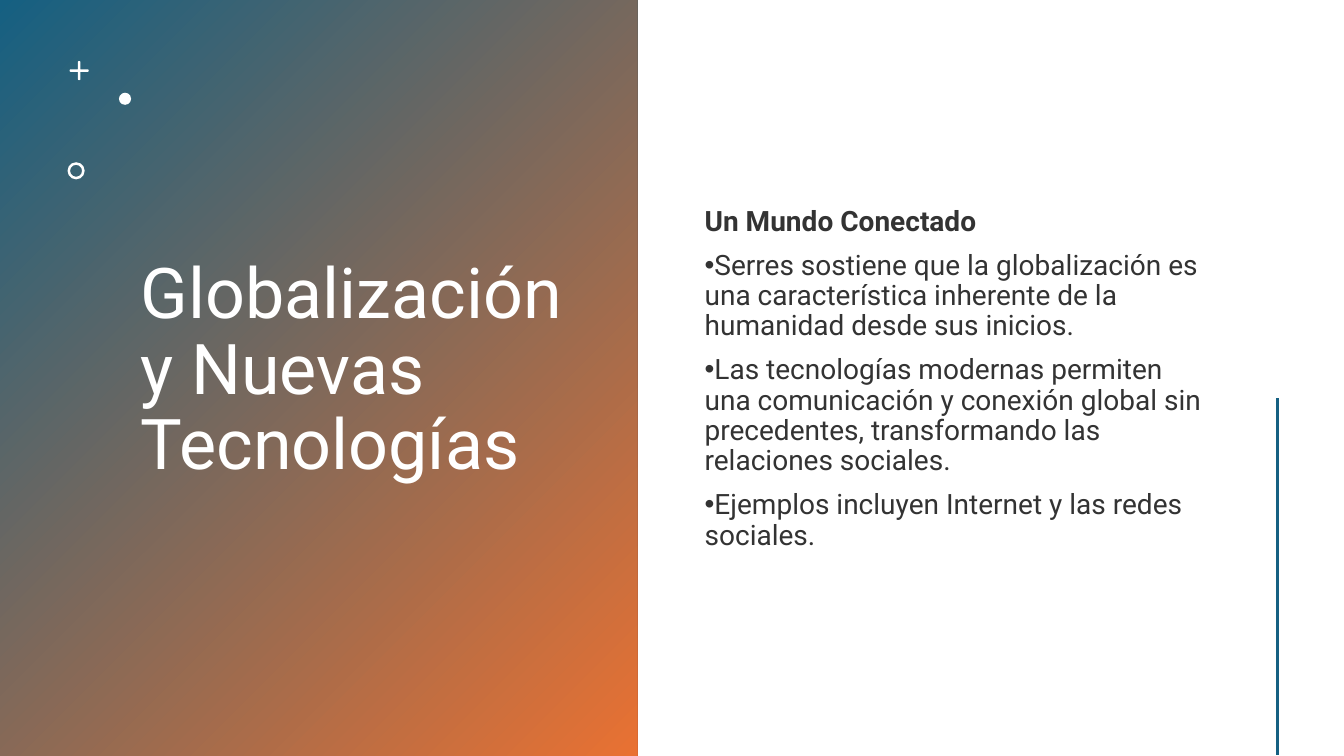
"""Build a slide on globalisation and new technologies."""
import math

from lxml import etree
from pptx import Presentation
from pptx.dml.color import RGBColor
from pptx.enum import shapes, text
from pptx.oxml import ns
from pptx.util import Inches, Pt

FONT = "Roboto"
COLORS = {"blue": "156082", "orange": "E97132", "white": "FFFFFF", "ink": "333333"}
POINTS = [
    "Serres sostiene que la globalización es una característica inherente de la "
    "humanidad desde sus inicios.",
    "Las tecnologías modernas permiten una comunicación y conexión global sin "
    "precedentes, transformando las relaciones sociales.",
    "Ejemplos incluyen Internet y las redes sociales.",
]


def rgb(name):
    return RGBColor.from_string(COLORS[name])


def paint(sp, color):
    sp.shadow.inherit = False
    sp.line.fill.background()
    sp.fill.solid()
    sp.fill.fore_color.rgb = rgb(color)


def add_shape(s, kind, x, y, w, h, color):
    sp = s.shapes.add_shape(kind, Inches(x), Inches(y), Inches(w), Inches(h))
    paint(sp, color)
    return sp


def add_gradient_panel(s, x, y, w, h, start, end):
    sp = add_shape(s, shapes.MSO_SHAPE.RECTANGLE, x, y, w, h, start)
    sp.fill.gradient()
    sp.fill.gradient_angle = 315
    for stop, color, position in zip(sp.fill.gradient_stops, (start, end), (0, 1)):
        stop.color.rgb = rgb(color)
        stop.position = position


def add_plus(s, cx, cy, reach, half, color):
    outline = []
    for arm in range(4):
        turn = arm * math.pi / 2
        tip = [(reach - half + half * math.cos(math.radians(a)),
                half * math.sin(math.radians(a))) for a in range(-90, 91, 15)]
        for u, v in tip + [(half, half)]:
            outline.append((Inches(cx + u * math.cos(turn) - v * math.sin(turn)),
                            Inches(cy + u * math.sin(turn) + v * math.cos(turn))))
    builder = s.shapes.build_freeform(*outline[0])
    builder.add_line_segments(outline[1:], close=True)
    paint(builder.convert_to_shape(), color)


def add_text_box(s, x, y, w, h):
    tf = s.shapes.add_textbox(Inches(x), Inches(y), Inches(w), Inches(h)).text_frame
    tf.word_wrap = True
    tf.vertical_anchor = text.MSO_ANCHOR.MIDDLE
    return tf


def write(p, content, size=20, color="ink", bold=False, before=0, bullet=False):
    if bullet:
        pPr = p._p.get_or_add_pPr()
        pPr.set("marL", "0")
        pPr.set("indent", str(-Inches(0.25)))
        etree.SubElement(pPr, ns.qn("a:buFont")).set("typeface", "Arial")
        etree.SubElement(pPr, ns.qn("a:buChar")).set("char", "•")
    p.line_spacing = 0.9
    p.space_before = Pt(before)
    r = p.add_run()
    r.text = content
    r.font.name = FONT
    r.font.size = Pt(size)
    r.font.bold = bold
    r.font.color.rgb = rgb(color)


def add_line(s, x1, y1, x2, y2, color, width):
    line = s.shapes.add_connector(shapes.MSO_CONNECTOR.STRAIGHT, Inches(x1),
                                  Inches(y1), Inches(x2), Inches(y2))
    line.line.color.rgb = rgb(color)
    line.line.width = Pt(width)
    etree.SubElement(line._element.spPr, ns.qn("a:effectLst"))


def main():
    prs = Presentation()
    prs.slide_width, prs.slide_height = Inches(13.33), Inches(7.5)
    s = prs.slides.add_slide(prs.slide_layouts[6])

    add_gradient_panel(s, 0, 0, 6.32, 7.5, "blue", "orange")
    title = add_text_box(s, 1.3, 0.42, 4.38, 6.53)
    write(title.paragraphs[0], "Globalización y Nuevas Tecnologías",
          size=50, color="white")

    add_plus(s, 0.785, 0.7, 0.095, 0.013, "white")
    add_shape(s, shapes.MSO_SHAPE.OVAL, 1.18, 0.92, 0.12, 0.12, "white")
    ring = add_shape(s, shapes.MSO_SHAPE.DONUT, 0.67, 1.61, 0.17, 0.17, "white")
    ring.adjustments[0] = 0.15

    body = add_text_box(s, 6.89, 0.57, 5.22, 6.38)
    write(body.paragraphs[0], "Un Mundo Conectado", bold=True)
    for point in POINTS:
        write(body.add_paragraph(), point, before=10, bullet=True)

    add_line(s, 12.67, 3.95, 12.67, 7.49, "blue", 2)
    prs.save("out.pptx")


if __name__ == "__main__":
    main()
